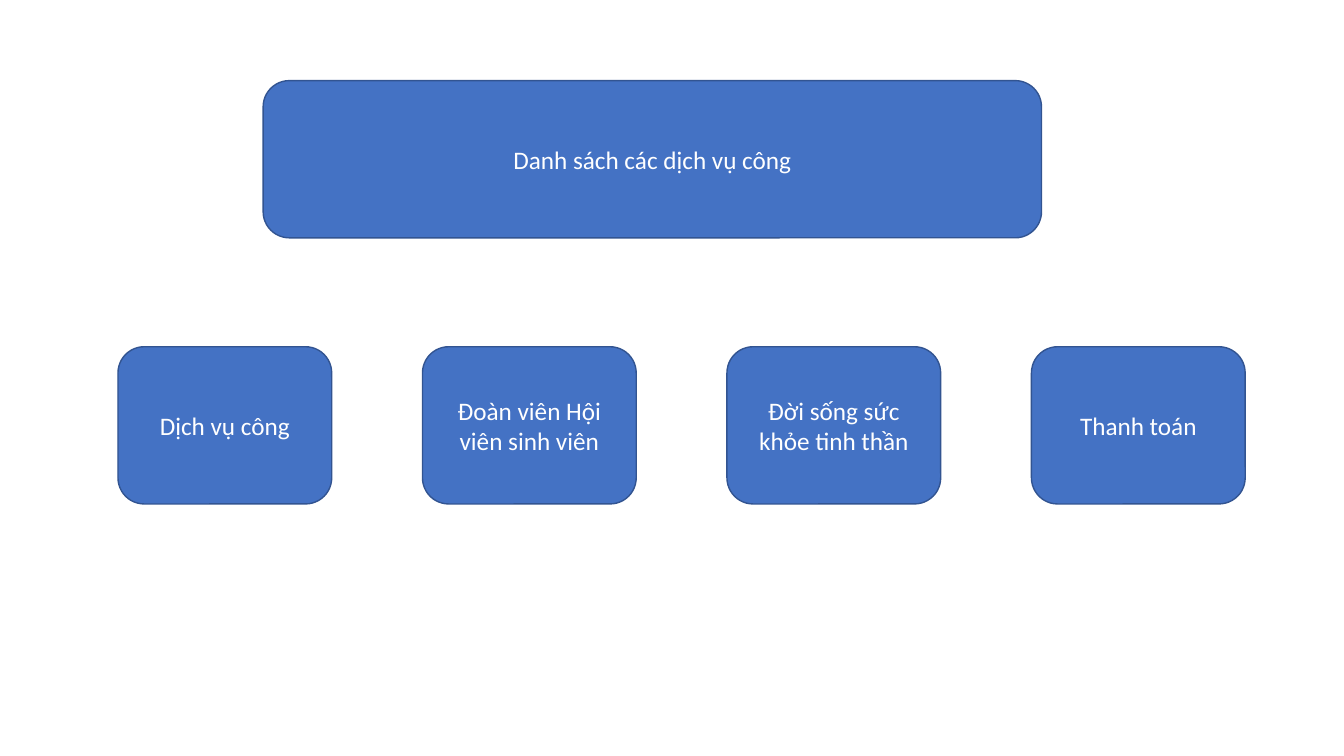
"""Build a slide with a heading box above a row of four service boxes."""
from dataclasses import dataclass

from pptx import Presentation
from pptx.dml.color import RGBColor
from pptx.enum.shapes import MSO_SHAPE as Shape
from pptx.enum.text import MSO_ANCHOR as Anchor, PP_ALIGN as Align
from pptx.util import Inches, Pt

FONT = {"name": "Calibri", "size": Pt(18), "bold": False}
FRAME = {"word_wrap": True, "vertical_anchor": Anchor.MIDDLE}
BOX_HEIGHT = 1.56
SERVICES = ["Dịch vụ công", "Đoàn viên Hội viên sinh viên",
            "Đời sống sức khỏe tinh thần", "Thanh toán"]
ROW_LEFT, ROW_TOP, ROW_STEP, SERVICE_WIDTH = 1.17, 3.44, 3.02, 2.12


@dataclass
class Box:
    text: str
    left: float
    top: float
    width: float


def set_color(fmt, color: str) -> None:
    if hasattr(fmt, "solid"):
        fmt.solid()
        fmt = fmt.fore_color
    else:
        fmt = fmt.color
    fmt.rgb = RGBColor.from_string(color)


def apply_format(target, values: dict) -> None:
    for name, value in values.items():
        setattr(target, name, value)


def draw_box(slide, box: Box) -> None:
    sp = slide.shapes.add_shape(
        Shape.ROUNDED_RECTANGLE, Inches(box.left), Inches(box.top),
        Inches(box.width), Inches(BOX_HEIGHT))
    sp.shadow.inherit = False
    set_color(sp.fill, "4472C4")
    set_color(sp.line, "325491")
    sp.line.width = Pt(1)
    tf = sp.text_frame
    apply_format(tf, FRAME)
    p = tf.paragraphs[0]
    p.alignment = Align.CENTER
    r = p.add_run()
    r.text = box.text
    apply_format(r.font, FONT)
    set_color(r.font, "FFFFFF")


def main() -> None:
    prs = Presentation()
    prs.slide_width, prs.slide_height = Inches(13.33), Inches(7.5)
    s = prs.slides.add_slide(prs.slide_layouts[6])
    heading = Box("Danh sách các dịch vụ công", 2.61, 0.8, 7.72)
    services = [Box(text, ROW_LEFT + i * ROW_STEP, ROW_TOP, SERVICE_WIDTH)
                for i, text in enumerate(SERVICES)]
    for box in [heading, *services]:
        draw_box(s, box)
    prs.save("out.pptx")


if __name__ == "__main__":
    main()
